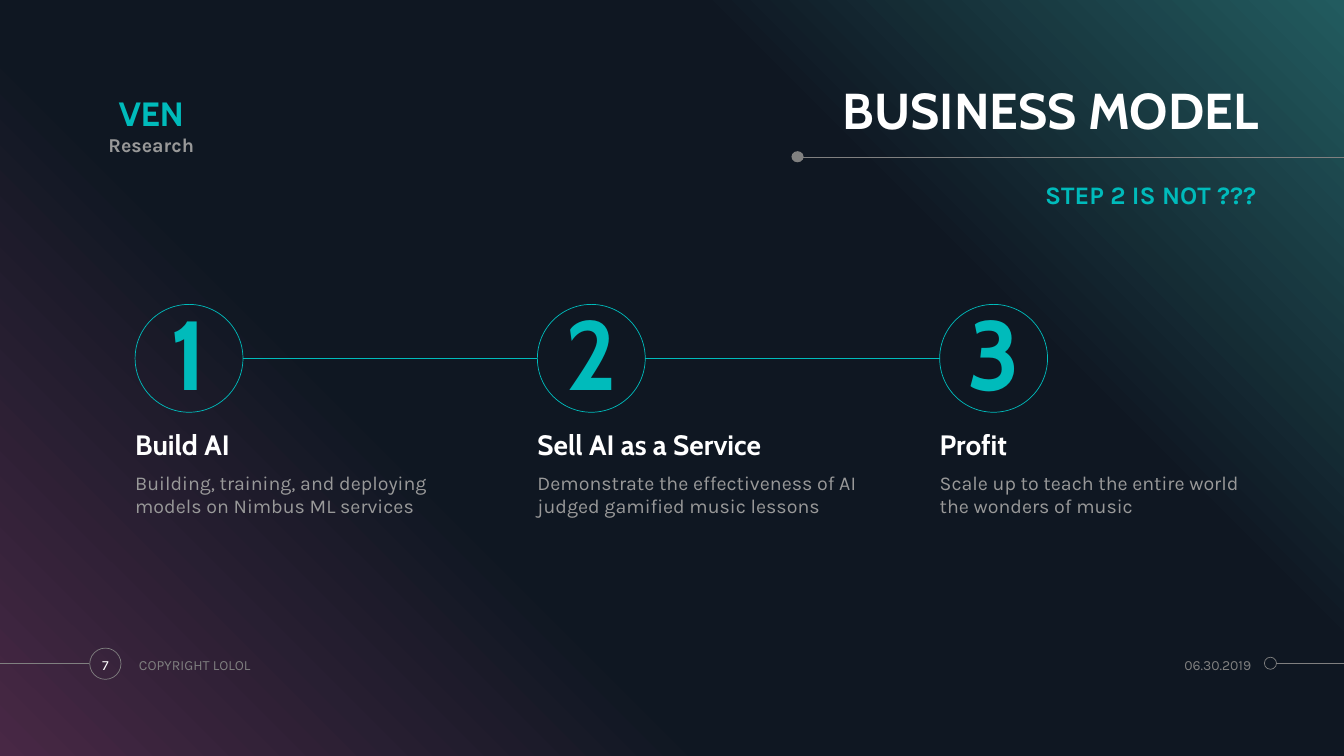
import copy
import lxml.etree
import pptx
import pptx.dml.color
import pptx.enum.shapes
import pptx.enum.text
import pptx.oxml.ns
import pptx.util

Inches = pptx.util.Inches
Pt = pptx.util.Pt
RGBColor = pptx.dml.color.RGBColor
Kind = pptx.enum.shapes.MSO_SHAPE
Align = pptx.enum.text.PP_ALIGN
Anchor = pptx.enum.text.MSO_ANCHOR
qn = pptx.oxml.ns.qn

PLUM = RGBColor(0x48, 0x28, 0x45)
NIGHT = RGBColor(0x0F, 0x17, 0x22)
PINE = RGBColor(0x22, 0x5B, 0x5F)
TEAL = RGBColor(0x00, 0xBB, 0xBB)
WHITE = RGBColor(0xFF, 0xFF, 0xFF)
GREY = RGBColor(0x80, 0x80, 0x80)
SILVER = RGBColor(0x99, 0x99, 0x99)
WIDE, HIGH = 13.33, 7.5

STEPS = [
    ("Build AI", "Building, training, and deploying models on Nimbus ML services"),
    ("Sell AI as a Service",
     "Demonstrate the effectiveness of AI judged gamified music lessons"),
    ("Profit", "Scale up to teach the entire world the wonders of music"),
]


def add_line(slide, x1, y1, x2, y2, color):
    line = slide.shapes.add_connector(
        pptx.enum.shapes.MSO_CONNECTOR.STRAIGHT,
        Inches(x1), Inches(y1), Inches(x2), Inches(y2))
    line.line.color.rgb = color
    line.line.width = Pt(0.5)
    lxml.etree.SubElement(line._element.spPr, qn("a:effectLst"))


def add_shape(slide, kind, x, y, w, h, fill=None, edge=None):
    shape = slide.shapes.add_shape(kind, Inches(x), Inches(y), Inches(w), Inches(h))
    shape.shadow.inherit = False
    if fill is None:
        shape.fill.background()
    else:
        shape.fill.solid()
        shape.fill.fore_color.rgb = fill
    if edge is None:
        shape.line.fill.background()
    else:
        shape.line.color.rgb = edge
        shape.line.width = Pt(0.5)
    return shape


def style(para, size, font, color, bold=False, align=Align.LEFT, before=0, lead=1.0):
    para.alignment = align
    para.space_before = Pt(before)
    para.line_spacing = lead
    for run in para.runs:
        run.font.size = Pt(size)
        run.font.name = font
        run.font.bold = bold
        run.font.color.rgb = color


def set_text(shape, text, *look, anchor=Anchor.TOP, inset=0, **more):
    frame = shape.text_frame
    frame.word_wrap = True
    frame.auto_size = pptx.enum.text.MSO_AUTO_SIZE.NONE
    frame.vertical_anchor = anchor
    frame.margin_left = frame.margin_right = Inches(inset)
    frame.margin_top = frame.margin_bottom = Inches(inset / 2)
    frame.text = text
    style(frame.paragraphs[0], *look, **more)


def add_text(slide, x, y, w, h, text, *look, **more):
    box = slide.shapes.add_textbox(Inches(x), Inches(y), Inches(w), Inches(h))
    set_text(box, text, *look, **more)
    return box


def add_back(slide, x, y, w, h):
    back = add_shape(slide, Kind.RECTANGLE, x, y, w, h)
    back.fill.gradient()
    back.fill.gradient_angle = 45
    stops = back._element.spPr.find(qn("a:gradFill")).find(qn("a:gsLst"))
    for _ in range(2):
        stops.append(copy.deepcopy(stops[0]))
    colors = [(0, PLUM), (0.34, NIGHT), (0.69, NIGHT), (1, PINE)]
    for stop, (place, color) in zip(back.fill.gradient_stops, colors):
        stop.position = place
        stop.color.rgb = color


def add_brand(slide, x, y, w, h):
    box = add_text(slide, x, y, w, h, "VEN", 24, "Cabin", TEAL, True,
                   align=Align.CENTER, inset=0.1)
    para = box.text_frame.add_paragraph()
    para.text = "Research"
    style(para, 14, "Karla", SILVER, True, align=Align.CENTER)


def add_head(slide, x, y, w, h):
    # Rule with its dot, running to the slide edge
    rule = y + 0.79
    add_line(slide, WIDE, rule, 7.94, rule, GREY)
    add_shape(slide, Kind.OVAL, 7.85, rule - 0.06, 0.12, 0.11, fill=GREY)
    # Title, brought in front of the backdrop
    title = slide.shapes.title
    slide.shapes._spTree.append(title._element)
    title.left, title.top = Inches(x), Inches(y)
    title.width, title.height = Inches(w), Inches(h)
    set_text(title, "BUSINESS MODEL", 36, "Cabin", WHITE, True,
             anchor=Anchor.BOTTOM, align=Align.RIGHT, lead=0.9)
    add_text(slide, x, y + 1.01, w - 0.02, h, "STEP 2 IS NOT ???",
             18, "Karla", TEAL, True, align=Align.RIGHT, before=10)


def add_steps(slide, x, y, w, pitch):
    ring = 1.07
    for i, (name, note) in enumerate(STEPS):
        left = x + i * pitch
        if i:
            mid = y + ring / 2
            add_line(slide, left - pitch + ring, mid, left, mid, TEAL)
        disc = add_shape(slide, Kind.OVAL, left, y, ring, ring, edge=TEAL)
        set_text(disc, str(i + 1), 70, "Cabin", TEAL, True, anchor=Anchor.MIDDLE,
                 align=Align.CENTER, before=10, lead=0.9)
        add_text(slide, left, y + 1.2, w, 0.36, name, 20, "Cabin", WHITE, True,
                 anchor=Anchor.BOTTOM, before=6, lead=0.9)
        add_text(slide, left, y + 1.65, w, 1.55, note, 14, "Karla", SILVER, before=6)


def add_foot(slide, x, y, w, h):
    mid = y + 0.15
    # Page number and copyright
    add_line(slide, x, mid, x + 0.88, mid, GREY)
    add_shape(slide, Kind.OVAL, x + 0.89, y, 0.31, 0.31, edge=GREY)
    add_text(slide, x + 0.85, y, 0.39, h, "7", 10, "Karla", WHITE,
             anchor=Anchor.MIDDLE, align=Align.CENTER, inset=0.1)
    add_text(slide, x + 1.28, y, 3.19, h, "COPYRIGHT LOLOL", 10, "Karla", GREY,
             anchor=Anchor.MIDDLE, inset=0.1)
    # Date
    end = x + w
    add_text(slide, end - 2.38, y, 1.46, h, "06.30.2019", 10, "Karla", GREY,
             anchor=Anchor.MIDDLE, align=Align.RIGHT)
    add_shape(slide, Kind.OVAL, end - 0.79, mid - 0.06, 0.12, 0.12, edge=GREY)
    add_line(slide, end - 0.67, mid, end, mid, GREY)


deck = pptx.Presentation()
deck.slide_width, deck.slide_height = Inches(WIDE), Inches(HIGH)
page = deck.slides.add_slide(deck.slide_layouts.get_by_name("Title Only"))
add_back(page, 0, 0, WIDE, HIGH)
add_brand(page, 0.69, 0.87, 1.62, 0.74)
add_head(page, 5.58, 0.77, 6.9, 0.62)
add_steps(page, 1.34, 3.02, 3.22, 3.99)
add_foot(page, 0, 6.43, WIDE, 0.33)
deck.save("out.pptx")
